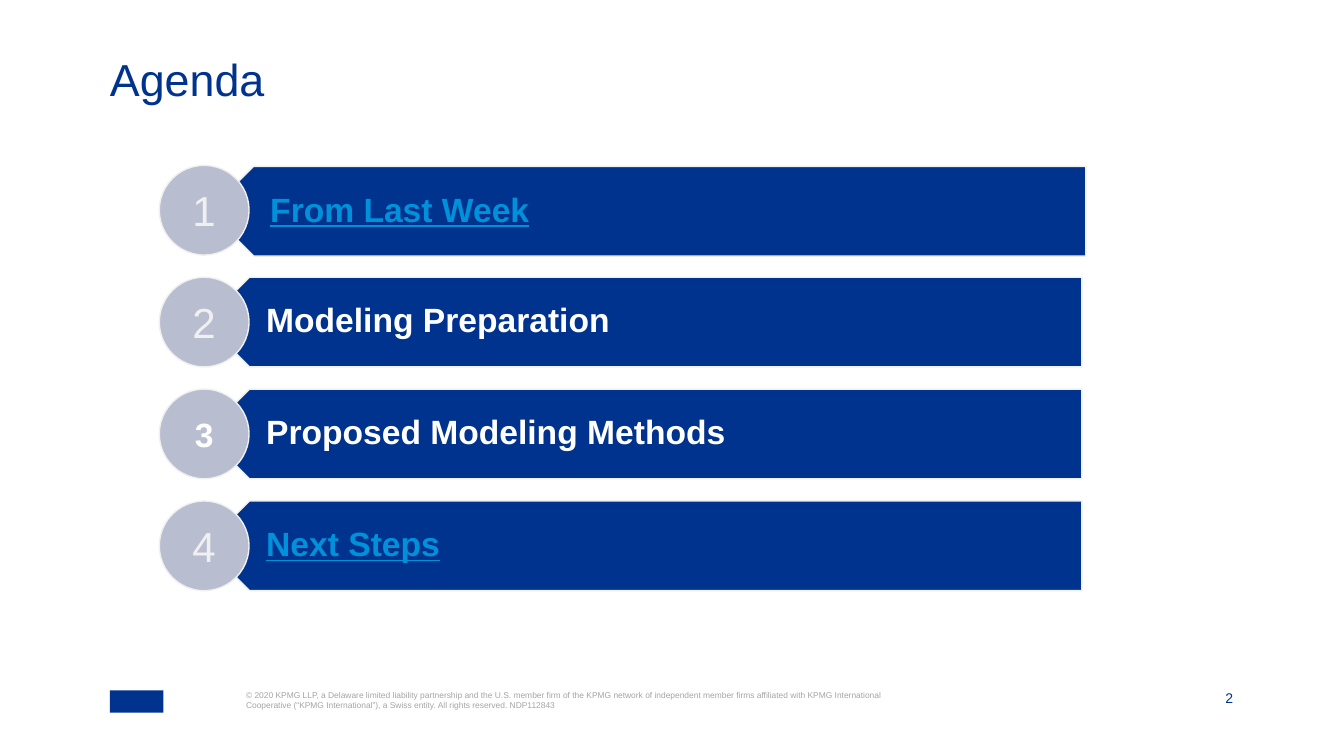
import pptx
import pptx.util
import pptx.dml.color
import pptx.enum.shapes
import pptx.enum.text

RGBColor = pptx.dml.color.RGBColor
MSO_SHAPE = pptx.enum.shapes.MSO_SHAPE
ANCHOR = pptx.enum.text.MSO_ANCHOR
ALIGN = pptx.enum.text.PP_ALIGN

PX = 9144
NAVY = RGBColor(0x00, 0x33, 0x8D)
LIGHT_BLUE = RGBColor(0x00, 0x91, 0xDA)
LAVENDER = RGBColor(0xB9, 0xBD, 0xD0)
PALE = RGBColor(0xF0, 0xF0, 0xF0)
GREY = RGBColor(0xA5, 0xA5, 0xA5)
WHITE = RGBColor(0xFF, 0xFF, 0xFF)

AGENDA = [
    ("From Last Week", True, 4, 1),
    ("Modeling Preparation", False, 0, 0),
    ("Proposed Modeling Methods", False, 0, 0),
    ("Next Steps", True, 0, 0),
]
BOLD_NUMBER = 3
COPYRIGHT = (
    "© 2020 KPMG LLP, a Delaware limited liability partnership and the U.S. "
    "member firm of the KPMG network of independent member firms affiliated "
    "with KPMG International Cooperative (“KPMG International”), a Swiss "
    "entity. All rights reserved. NDP112843"
)


def emu(*lengths):
    return [pptx.util.Emu(n * PX) for n in lengths]


def set_text(sp, text, size, color, bold=False, underline=False, align=ALIGN.LEFT,
             anchor=ANCHOR.TOP, insets=(0, 0, 0, 0), line_spacing=1.0):
    tf = sp.text_frame
    tf.word_wrap = True
    tf.auto_size = pptx.enum.text.MSO_AUTO_SIZE.NONE
    tf.vertical_anchor = anchor
    tf.margin_left, tf.margin_top, tf.margin_right, tf.margin_bottom = emu(*insets)
    p = tf.paragraphs[0]
    p.alignment = align
    p.line_spacing = line_spacing
    r = p.add_run()
    r.text = text
    r.font.name = "Arial"
    r.font.size = pptx.util.Pt(size)
    r.font.color.rgb = color
    r.font.bold = bold
    r.font.underline = underline


def add_text(slide, box, text, size, color, **fmt):
    set_text(slide.shapes.add_textbox(*emu(*box)), text, size, color, **fmt)


def add_shape(slide, kind, box, fill, line=None):
    sp = slide.shapes.add_shape(kind, *emu(*box))
    sp.shadow.inherit = False
    sp.fill.solid()
    sp.fill.fore_color.rgb = fill
    if line is None:
        sp.line.fill.background()
    else:
        sp.line.color.rgb = line
        sp.line.width = pptx.util.Pt(1)
    return sp


def add_title(slide, box, text):
    title = slide.shapes.title
    title.left, title.top, title.width, title.height = emu(*box)
    set_text(title, text, 32, NAVY, line_spacing=0.9)


def add_agenda_row(slide, box, number, text, linked, dx, dy):
    x, y, w, h = box
    bar_x, bar_y = x + 45 + dx, y + dy
    bar = add_shape(slide, MSO_SHAPE.PENTAGON, (bar_x, bar_y, w - 45, h), NAVY, PALE)
    bar.adjustments[0] = 0.5
    bar.rotation = 180
    add_text(slide, (bar_x + 22, bar_y, w - 67, h), text, 24,
             LIGHT_BLUE if linked else WHITE, bold=True, underline=linked,
             anchor=ANCHOR.MIDDLE, insets=(39, 10, 19, 10), line_spacing=0.9)
    disc = add_shape(slide, MSO_SHAPE.OVAL, (x, y, h, h), LAVENDER, PALE)
    bold = number == BOLD_NUMBER
    set_text(disc, str(number), 24 if bold else 30, WHITE if bold else PALE, bold=bold,
             align=ALIGN.CENTER, anchor=ANCHOR.MIDDLE, insets=(10, 10, 10, 10))


def add_agenda(slide, box):
    x, y, w, h = box
    row_h = 89
    step = (h - row_h) // (len(AGENDA) - 1)
    for i, item in enumerate(AGENDA):
        add_agenda_row(slide, (x, y + i * step, w, row_h), i + 1, *item)


def add_footer(slide, box):
    x, y, w, h = box
    add_shape(slide, MSO_SHAPE.RECTANGLE, (x, y, 53, 22), NAVY)
    add_text(slide, (x + 135, y, 639, h), COPYRIGHT, 6, GREY)
    add_text(slide, (x + w - 49, y, 49, 16), "2", 10, NAVY,
             align=ALIGN.RIGHT, anchor=ANCHOR.BOTTOM)


def main():
    prs = pptx.Presentation()
    prs.slide_width, prs.slide_height = emu(1333, 750)
    slide = prs.slides.add_slide(prs.slide_layouts[5])
    add_title(slide, (109, 57, 1115, 58), "Agenda")
    add_agenda(slide, (158, 164, 915, 422))
    add_footer(slide, (109, 685, 1114, 41))
    prs.save("out.pptx")


if __name__ == "__main__":
    main()
